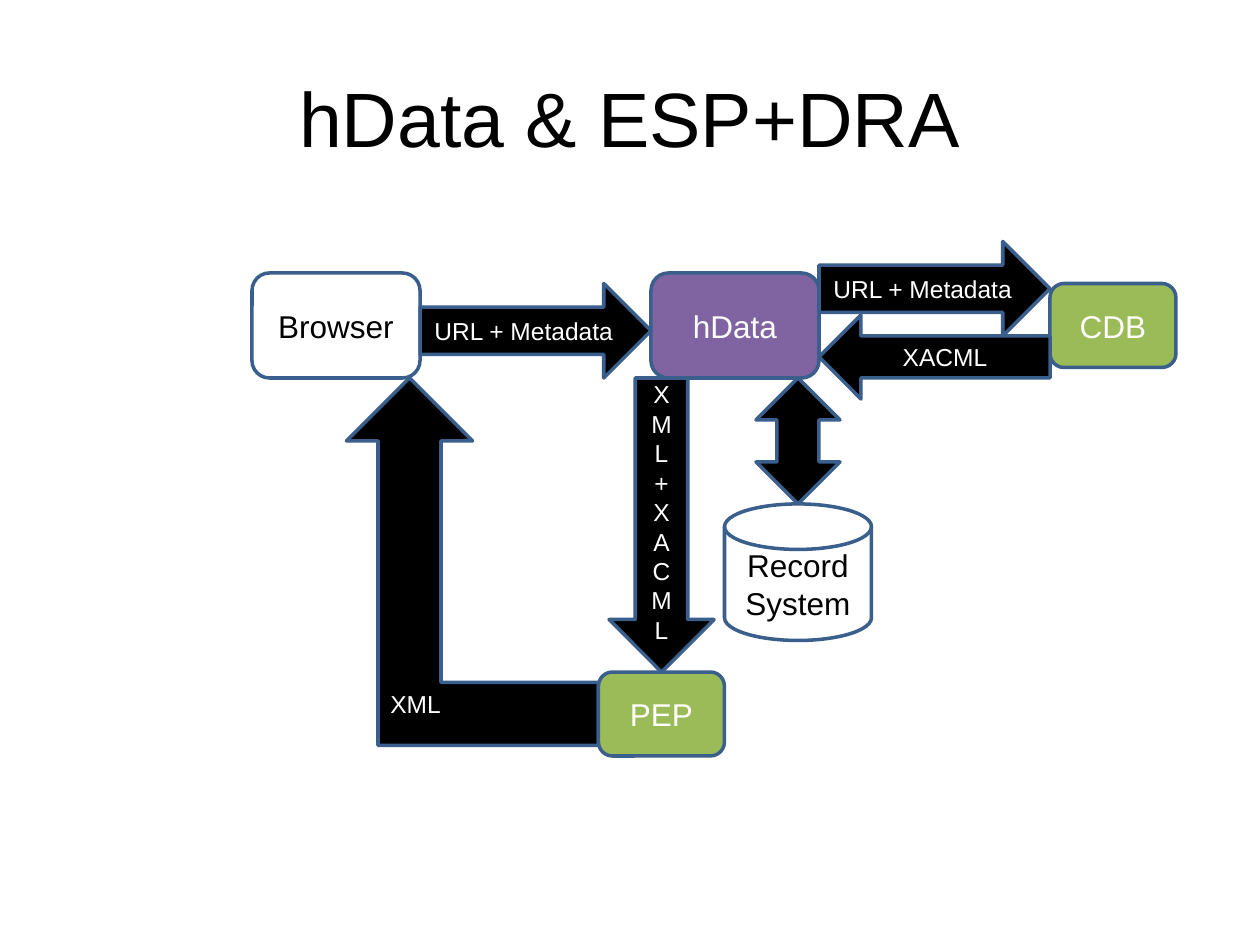
"""Builds the hData and ESP+DRA data flow slide."""
from collections import namedtuple
from pptx import Presentation
from pptx import util as u
from pptx.dml.color import RGBColor
from pptx.enum import shapes, text

Theme = namedtuple("Theme", "font black white outline green purple title node label stroke")
THEME = Theme("Arial", "000000", "FFFFFF", "3A5F8C", "9BBB59", "8064A2", 44, 18, 14, 2)
KIND = shapes.MSO_SHAPE

TITLE = ("hData & ESP+DRA", (36, 21.6, 648, 90))
BIG, SMALL = (96, 60), (72, 48)
BROWSER = (144, 156, *BIG)
HDATA = (372, 156, *BIG)
CDB = (600, 162, *SMALL)
PEP = (342, 384, *SMALL)
RECORDS = (414, 288, 84, 78)


def right(area):
    return area[0] + area[2]


def bottom(area):
    return area[1] + area[3]


def across(start, end, top, height):
    return (right(start), top, end[0] - right(start), height)


def down(start, end, width):
    return (end[0] + (end[2] - width) / 2, bottom(start), width, end[1] - bottom(start))


BACK_FLOW = (198, bottom(BROWSER), PEP[0] - 198, 210)
BACK_LABEL = ("XML", (216, 390, 60, 24.5))

NODES = [
    ("Browser", KIND.ROUNDED_RECTANGLE, BROWSER, None, THEME.black),
    ("CDB", KIND.ROUNDED_RECTANGLE, CDB, THEME.green, THEME.white),
    ("hData", KIND.ROUNDED_RECTANGLE, HDATA, THEME.purple, THEME.white),
    ("Record System", KIND.FLOWCHART_MAGNETIC_DISK, RECORDS, None, THEME.black),
]
FLOWS = [
    ("URL + Metadata", KIND.RIGHT_ARROW, across(BROWSER, HDATA, 162, 54)),
    ("", KIND.UP_DOWN_ARROW, down(HDATA, RECORDS, 48)),
    ("", KIND.BENT_UP_ARROW, BACK_FLOW),
    ("URL + Metadata", KIND.RIGHT_ARROW, across(HDATA, CDB, 138, 54)),
    ("XACML", KIND.LEFT_ARROW, across(HDATA, CDB, 180, 48)),
    ("XML+XACML", KIND.DOWN_ARROW, down(HDATA, PEP, 60)),
]
FRONT_NODE = ("PEP", KIND.ROUNDED_RECTANGLE, PEP, THEME.green, THEME.white)


def points(area):
    return [u.Pt(value) for value in area]


def write(box, words, size, color, align=text.PP_ALIGN.CENTER):
    box.text_frame.text = words
    para = box.text_frame.paragraphs[0]
    para.alignment = align
    for span in para.runs:
        span.font.name = THEME.font
        span.font.size = u.Pt(size)
        span.font.color.rgb = RGBColor.from_string(color)


def add_block(page, words, kind, area, fill, color, size=THEME.node):
    box = page.shapes.add_shape(kind, *points(area))
    box.shadow.inherit = False
    if fill:
        box.fill.solid()
        box.fill.fore_color.rgb = RGBColor.from_string(fill)
    else:
        box.fill.background()
    box.line.color.rgb = RGBColor.from_string(THEME.outline)
    box.line.width = u.Pt(THEME.stroke)
    if words:
        box.text_frame.word_wrap = True
        box.text_frame.vertical_anchor = text.MSO_ANCHOR.MIDDLE
        write(box, words, size, color)
    return box


def main():
    deck = Presentation()
    deck.slide_width, deck.slide_height = u.Pt(720), u.Pt(540)
    page = deck.slides.add_slide(deck.slide_layouts[5])

    words, area = TITLE
    title = page.shapes.title
    title.left, title.top, title.width, title.height = points(area)
    title.text_frame.vertical_anchor = text.MSO_ANCHOR.MIDDLE
    write(title, words, THEME.title, THEME.black)

    for node in NODES:
        add_block(page, *node)
    for words, kind, area in FLOWS:
        arrow = add_block(page, words, kind, area, THEME.black, THEME.white, THEME.label)
        if kind == KIND.BENT_UP_ARROW:
            arrow.rotation = 180
            arrow._element.spPr.xfrm.set("flipV", "1")
    add_block(page, *FRONT_NODE)

    words, area = BACK_LABEL
    label = page.shapes.add_textbox(*points(area))
    label.text_frame.word_wrap = True
    label.text_frame.auto_size = text.MSO_AUTO_SIZE.SHAPE_TO_FIT_TEXT
    write(label, words, THEME.label, THEME.white, text.PP_ALIGN.LEFT)

    deck.save("out.pptx")


if __name__ == "__main__":
    main()
